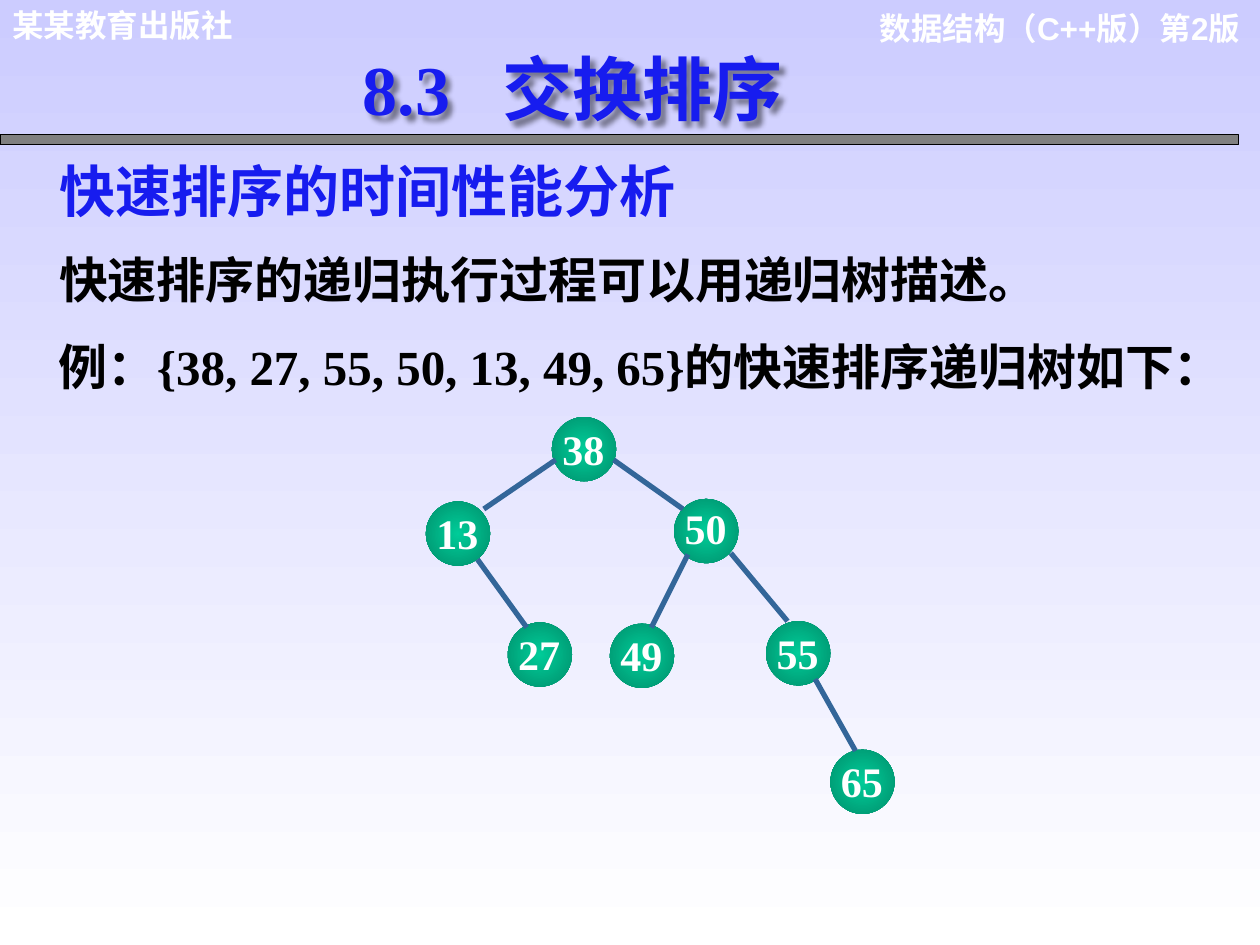
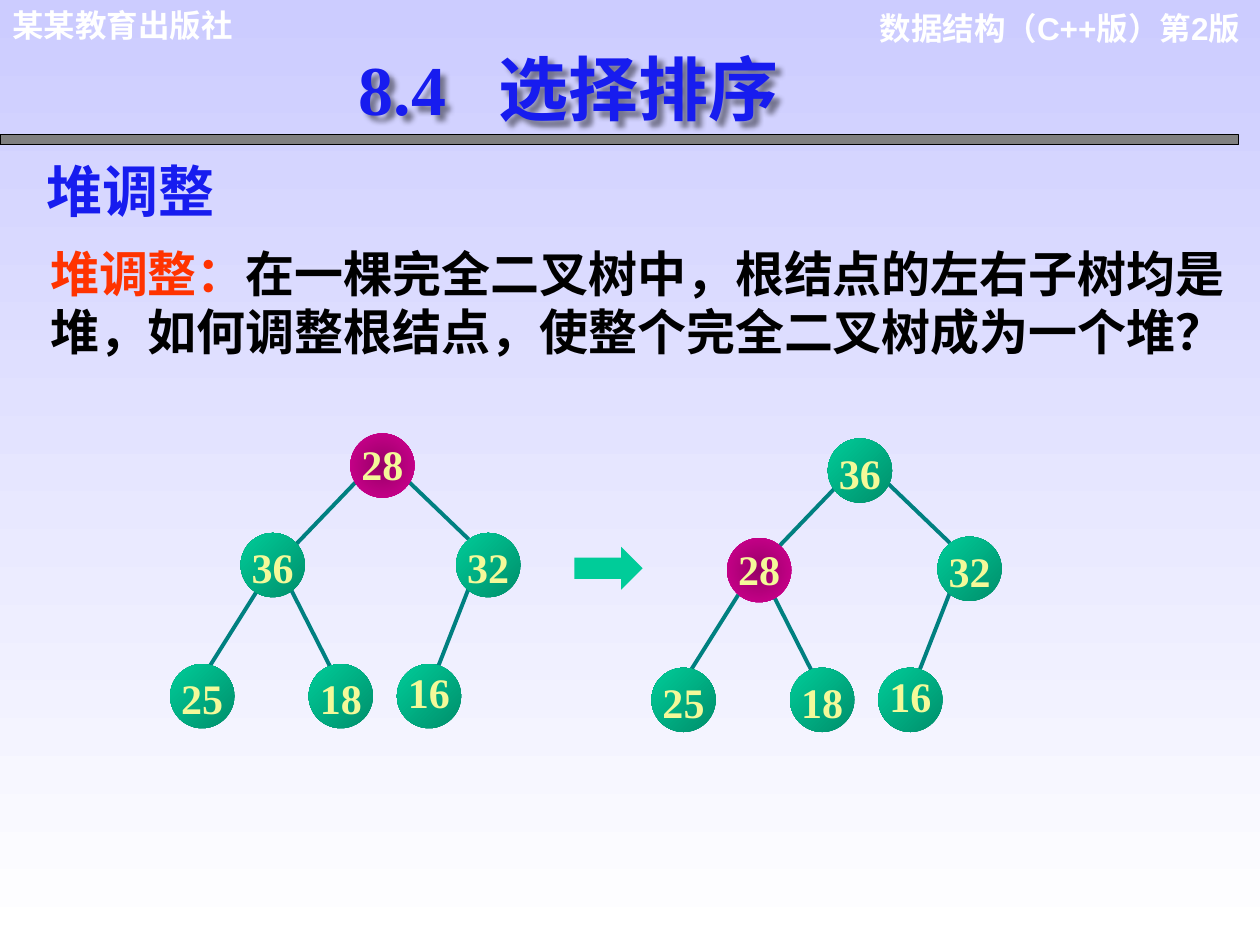
from lxml import etree
from pptx import Presentation
from pptx.dml.color import RGBColor
from pptx.enum.shapes import MSO_CONNECTOR as Link, MSO_SHAPE as Shape
from pptx.enum.text import PP_ALIGN as Align
from pptx.oxml import parse_xml
from pptx.oxml.ns import nsdecls, qn
from pptx.util import Inches, Pt

BLUE, BLACK, WHITE, RED = "171CEF", "000000", "FFFFFF", "FF3300"
GREEN, DARK, PINK, PLUM = "00CC99", "008F6B", "D60093", "960067"
YELLOW, STEEL, TEAL = "F4F999", "336699", "008080"
SERIF, SANS = "Times New Roman", "Arial"
SIZE = 0.51  # node diameter


def paint(code):
    return RGBColor.from_string(code)


class Deck:
    """Holds the shared style and the slide being built."""

    def __init__(self):
        self.file = Presentation()
        self.file.slide_width, self.file.slide_height = Inches(10), Inches(7.5)
        self.slide = None

    def start(self, left, width, number, title):
        """Add a slide with its backdrop, header, rule and title."""
        self.slide = self.file.slides.add_slide(self.file.slide_layouts[6])
        self.blend(self.slide.background.fill, "CCCCFF", WHITE, 270)
        self.text(6.77, 0.02, 3.17, 0.4, [("数据结构（C++版）第2版", WHITE)], 18, SANS, Align.RIGHT)
        self.text(0, 0, 2.71, 0.4, [("某某教育出版社", WHITE)], 18, SANS)
        rule = self.shape(Shape.RECTANGLE, 0, 1.07, 9.83, 0.08, "808080")
        rule.line.color.rgb = paint(BLACK)
        rule.line.width = Pt(0.75)
        self.title(left, width, number, title)

    def title(self, left, width, number, title):
        box = self.text(left, 0.31, width, 0.77, [(f"{number}\t{title}", BLUE)], 40, tab=1.11)
        box._element.spPr.append(parse_xml(
            f'<a:effectLst {nsdecls("a")}>'
            '<a:outerShdw blurRad="38100" dist="50800" dir="2700000">'
            '<a:srgbClr val="000000"><a:alpha val="43000"/></a:srgbClr>'
            '</a:outerShdw></a:effectLst>'))

    def text(self, left, top, width, height, parts, size, font=SERIF,
             align=Align.LEFT, pads=(0.1, 0.05, 0.1, 0.05), tab=None):
        """Write one paragraph made of (words, colour) parts."""
        box = self.slide.shapes.add_textbox(
            Inches(left), Inches(top), Inches(width), Inches(height))
        frame = box.text_frame
        frame.word_wrap = True
        (frame.margin_left, frame.margin_top,
         frame.margin_right, frame.margin_bottom) = map(Inches, pads)
        para = frame.paragraphs[0]
        para.alignment = align
        if tab:
            stops = etree.SubElement(para._p.get_or_add_pPr(), qn("a:tabLst"))
            etree.SubElement(stops, qn("a:tab"), pos=str(Inches(tab)), algn="l")
        for words, color in parts:
            run = para.add_run()
            run.text = words
            run.font.name, run.font.size, run.font.bold = font, Pt(size), True
            run.font.color.rgb = paint(color)
        return box

    def shape(self, kind, left, top, width, height, color=None):
        item = self.slide.shapes.add_shape(
            kind, Inches(left), Inches(top), Inches(width), Inches(height))
        item.shadow.inherit = False
        item.line.fill.background()
        if color:
            item.fill.solid()
            item.fill.fore_color.rgb = paint(color)
        return item

    def blend(self, fill, first, last, angle):
        fill.gradient()
        fill.gradient_angle = angle
        for stop, color in zip(fill.gradient_stops, (first, last)):
            stop.color.rgb = paint(color)

    def node(self, label, left, top, first, last, ink, drop, pads, angle=None):
        """Draw a tree node; without an angle its colours spread from the centre."""
        disc = self.shape(Shape.OVAL, left, top, SIZE, SIZE)
        self.blend(disc.fill, first, last, angle or 0)
        if angle is None:
            line = disc._element.spPr.find(".//" + qn("a:lin"))
            line.getparent().replace(line, parse_xml(
                f'<a:path {nsdecls("a")} path="circle">'
                '<a:fillToRect l="50000" t="50000" r="50000" b="50000"/></a:path>'))
        self.text(left + 0.05, top + drop, 0.4, 0.54, [(label, ink)], 24,
                  align=Align.CENTER, pads=pads)

    def edge(self, x1, y1, x2, y2, color, width):
        line = self.slide.shapes.add_connector(
            Link.STRAIGHT, Inches(x1), Inches(y1), Inches(x2), Inches(y2))
        line.line.color.rgb = paint(color)
        line.line.width = Pt(width)
        etree.SubElement(line._element.spPr, qn("a:effectLst"))

    def heap(self, root, left, dx=0, dy=0):
        """Draw a six-node heap; root and left are (label, x, y), the rest shifts."""
        for x1, y1, x2, y2 in [(3.23, 3.81, 3.72, 4.28), (2.31, 4.68, 2.63, 5.31),
                               (2.04, 4.69, 1.65, 5.31), (2.82, 3.83, 2.34, 4.33),
                               (3.72, 4.67, 3.47, 5.31)]:
            self.edge(x1 + dx, y1 + dy, x2 + dx, y2 + dy, TEAL, 2.25)
        rest = [("32", 3.62, 4.23), ("16", 3.15, 5.27), ("18", 2.45, 5.27), ("25", 1.35, 5.27)]
        drops = {"28": 0.01, "16": -0.01}
        for label, x, y in [root, left] + [(n, x + dx, y + dy) for n, x, y in rest]:
            look = (PLUM, PINK) if label == "28" else (DARK, GREEN)
            self.node(label, x, y, *look, YELLOW, drops.get(label, 0.04),
                      (0.01, 0.03, 0, 0.01), None if label == "28" else 135)


def quick(deck):
    deck.start(2.78, 3.94, "8.3", "交换排序")
    deck.text(0.37, 1.19, 5.75, 0.63, [("快速排序的时间性能分析", BLUE)], 32)
    deck.text(0.37, 1.93, 9.11, 0.57, [("快速排序的递归执行过程可以用递归树描述。", BLACK)], 28)
    deck.text(0.37, 2.62, 9.63, 0.57,
              [("例：{38, 27, 55, 50, 13, 49, 65}的快速排序递归树如下：", BLACK)], 28)
    for label, x, y, drop in [
            ("38", 4.38, 3.31, 0.05), ("13", 3.38, 3.98, 0.05), ("50", 5.35, 3.96, 0.03),
            ("55", 6.08, 4.93, 0.05), ("49", 4.84, 4.95, 0.05), ("65", 6.59, 5.95, 0.05),
            ("27", 4.03, 4.94, 0.05)]:
        deck.node(label, x, y, GREEN, DARK, WHITE, drop, (0, 0, 0, 0.04))
    for ends in [(4.41, 3.65, 3.84, 4.04), (4.87, 3.65, 5.42, 4.04),
                 (3.79, 4.44, 4.18, 4.98), (5.8, 4.39, 6.25, 4.93),
                 (5.46, 4.4, 5.17, 4.98), (6.47, 5.39, 6.79, 5.96)]:
        deck.edge(*ends, STEEL, 3)


def adjust(deck):
    deck.start(2.75, 3.99, "8.4", "选择排序")
    deck.text(0.27, 1.19, 4.67, 0.63, [("堆调整", BLUE)], 32, SANS)
    deck.text(0.3, 1.88, 9.7, 1.03, [
        ("堆调整：", RED),
        ("在一棵完全二叉树中，根结点的左右子树均是堆，如何调整根结点，使整个完全二叉树成为一个堆？", BLACK),
    ], 28, SANS)
    deck.heap(("28", 2.78, 3.44), ("36", 1.91, 4.23))
    deck.shape(Shape.RIGHT_ARROW, 4.56, 4.34, 0.54, 0.34, GREEN)
    deck.heap(("36", 6.57, 3.48), ("28", 5.77, 4.27), 3.82, 0.03)


def main():
    deck = Deck()
    quick(deck)
    adjust(deck)
    deck.file.save("out.pptx")


if __name__ == "__main__":
    main()
